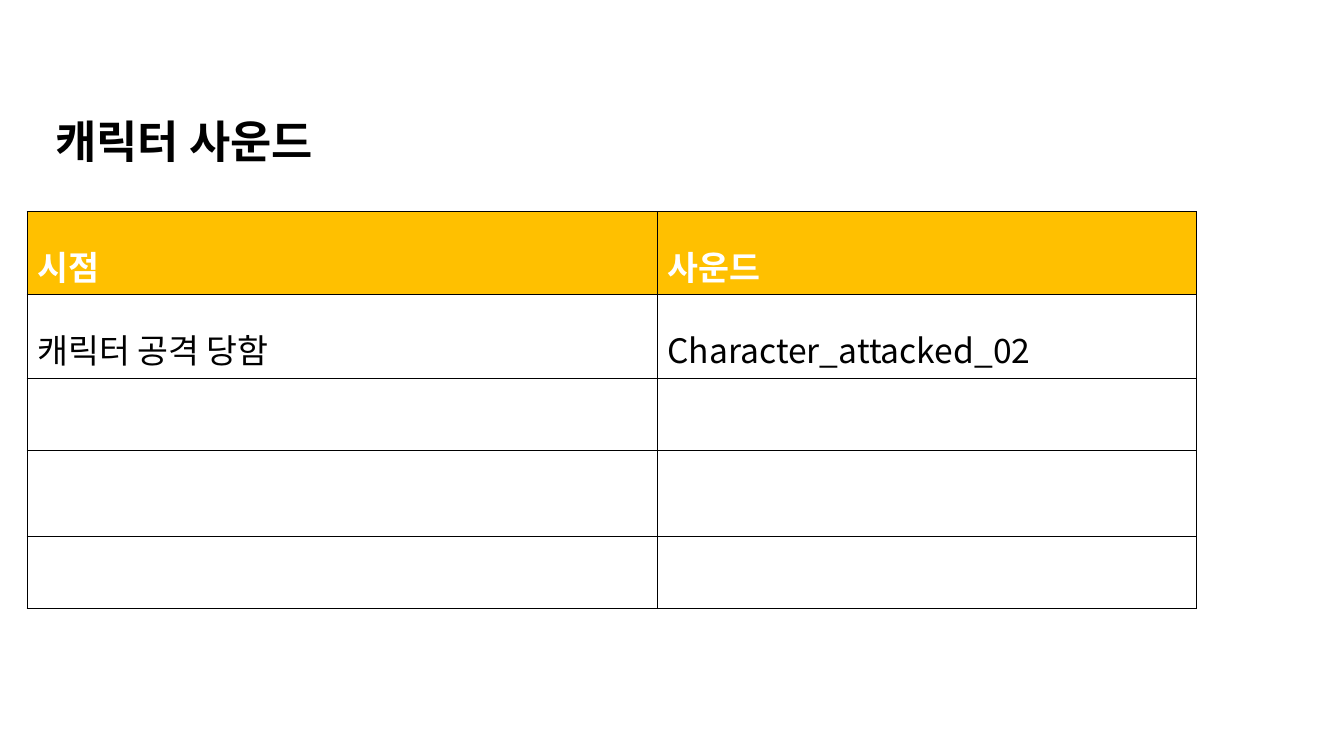
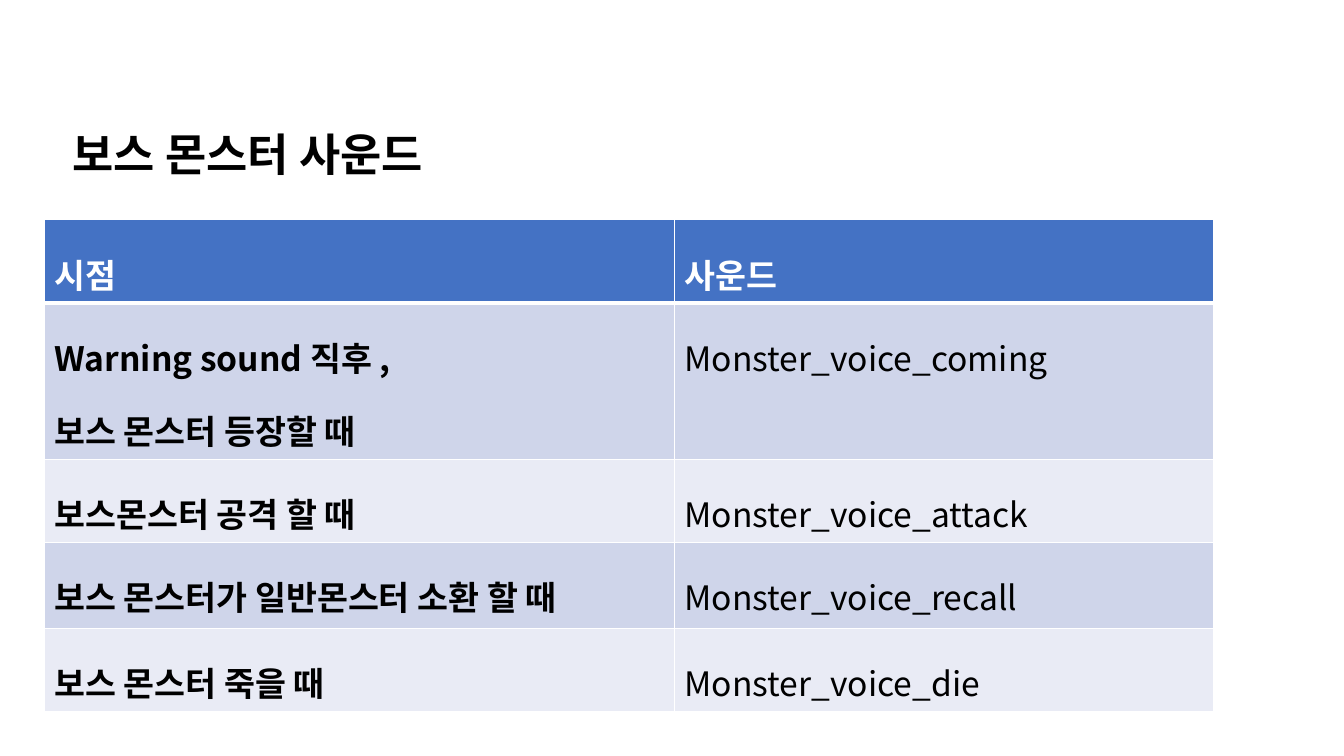
import pptx
import pptx.util
import pptx.dml.color
import pptx.enum.text
import pptx.oxml
import pptx.oxml.ns
from lxml import etree

RGB = pptx.dml.color.RGBColor
BLACK = RGB(0x00, 0x00, 0x00)
WHITE = RGB(0xFF, 0xFF, 0xFF)
AMBER = RGB(0xFF, 0xC0, 0x00)
BLUE = RGB(0x44, 0x72, 0xC4)
BAND_DARK = RGB(0xCF, 0xD5, 0xEA)
BAND_LIGHT = RGB(0xE9, 0xEB, 0xF5)

FONT = "Noto Sans CJK KR"
SLIDE_W, SLIDE_H = 13.33, 7.5
TITLE_INDENT, TITLE_W, TITLE_H = 0.18, 6.31, 0.64
COLUMNS = (6.25, 5.35)
HEADER = ("시점", "사운드")

TITLE_FORMAT = {"size": pptx.util.Pt(32), "bold": True}
HEADER_FORMAT = {"size": pptx.util.Pt(24), "bold": True}
EVENT_FORMAT = {"size": pptx.util.Pt(24), "bold": True}
SOUND_FORMAT = {"size": pptx.util.Pt(24), "bold": False}

CHARACTER = {
    "title": "캐릭터 사운드",
    "box": (0.27, 1.07, 2.1),  # left, title top, table top
    "rows": [("캐릭터 공격 당함", "Character_attacked_02")] + [("", "")] * 3,
    "heights": (0.65, 0.75, 0.72, 0.85, 0.72),
    "header_fill": AMBER,
    "bands": (None,),
    "border": BLACK,
    "header_rule": 1,
    "event_format": SOUND_FORMAT,
}
BOSS = {
    "title": "보스 몬스터 사운드",
    "box": (0.44, 1.2, 2.18),
    "rows": [
        ("Warning sound 직후 ,\n보스 몬스터 등장할 때", "Monster_voice_coming"),
        ("보스몬스터 공격 할 때", "Monster_voice_attack"),
        ("보스 몬스터가 일반몬스터 소환 할 때", "Monster_voice_recall"),
        ("보스 몬스터 죽을 때", "Monster_voice_die"),
    ],
    "heights": (0.72, 1.23, 0.72, 0.85, 0.72),
    "header_fill": BLUE,
    "bands": (BAND_DARK, BAND_LIGHT),
    "border": WHITE,
    "header_rule": 3,
    "event_format": EVENT_FORMAT,
}


def write(frame, text, color, formats, spacing=1.0):
    frame.text = text
    for paragraph in frame.paragraphs:
        paragraph.line_spacing = spacing
        paragraph.alignment = pptx.enum.text.PP_ALIGN.LEFT
        for run in paragraph.runs:
            for attribute, value in formats.items():
                setattr(run.font, attribute, value)
            run.font.name = FONT
            run.font.color.rgb = color
            # Korean glyphs use the East Asian typeface
            east_asian = etree.SubElement(run.font._element, pptx.oxml.ns.qn("a:ea"))
            east_asian.set("typeface", FONT)


def set_borders(cell, color, widths):
    properties = cell._tc.get_or_add_tcPr()
    for side, width in widths.items():
        properties.append(pptx.oxml.parse_xml(
            f'<a:ln{side} {pptx.oxml.ns.nsdecls("a")} w="{pptx.util.Pt(width)}">'
            f'<a:solidFill><a:srgbClr val="{color}"/></a:solidFill></a:ln{side}>'))


def set_fill(cell, color):
    if color is None:
        cell.fill.background()
    else:
        cell.fill.solid()
        cell.fill.fore_color.rgb = color


def place_title(slide, text, left, top):
    title = slide.shapes.title
    placement = {"left": left, "top": top, "width": TITLE_W, "height": TITLE_H}
    for attribute, value in placement.items():
        setattr(title, attribute, pptx.util.Inches(value))
    frame = title.text_frame
    frame.auto_size = pptx.enum.text.MSO_AUTO_SIZE.NONE
    frame.vertical_anchor = pptx.enum.text.MSO_ANCHOR.MIDDLE
    write(frame, text, BLACK, TITLE_FORMAT)


def place_sound_table(slide, content, left, top):
    rows = [HEADER] + content["rows"]
    heights = content["heights"]
    box = [pptx.util.Inches(v) for v in (left, top, sum(COLUMNS), sum(heights))]
    table = slide.shapes.add_table(len(rows), len(COLUMNS), *box).table
    table.horz_banding = False
    for column, width in zip(table.columns, COLUMNS):
        column.width = pptx.util.Inches(width)
    for row, height in zip(table.rows, heights):
        row.height = pptx.util.Inches(height)

    bands = content["bands"]
    body_formats = (content["event_format"], SOUND_FORMAT)
    for r, texts in enumerate(rows):
        is_header = r == 0
        fill = content["header_fill"] if is_header else bands[(r - 1) % len(bands)]
        # The header's lower edge is shared with the first body row
        widths = {"L": 1, "R": 1,
                  "T": content["header_rule"] if r == 1 else 1,
                  "B": content["header_rule"] if is_header else 1}
        for c, text in enumerate(texts):
            cell = table.cell(r, c)
            set_borders(cell, content["border"], widths)
            set_fill(cell, fill)
            if text:
                write(cell.text_frame, text, WHITE if is_header else BLACK,
                      HEADER_FORMAT if is_header else body_formats[c], 1.5)


def add_sound_slide(deck, content):
    slide = deck.slides.add_slide(deck.slide_layouts.get_by_name("Title Only"))
    left, title_top, table_top = content["box"]
    place_sound_table(slide, content, left, table_top)
    place_title(slide, content["title"], left + TITLE_INDENT, title_top)


def main():
    deck = pptx.Presentation()
    deck.slide_width = pptx.util.Inches(SLIDE_W)
    deck.slide_height = pptx.util.Inches(SLIDE_H)
    for content in (CHARACTER, BOSS):
        add_sound_slide(deck, content)
    deck.save("out.pptx")


if __name__ == "__main__":
    main()
